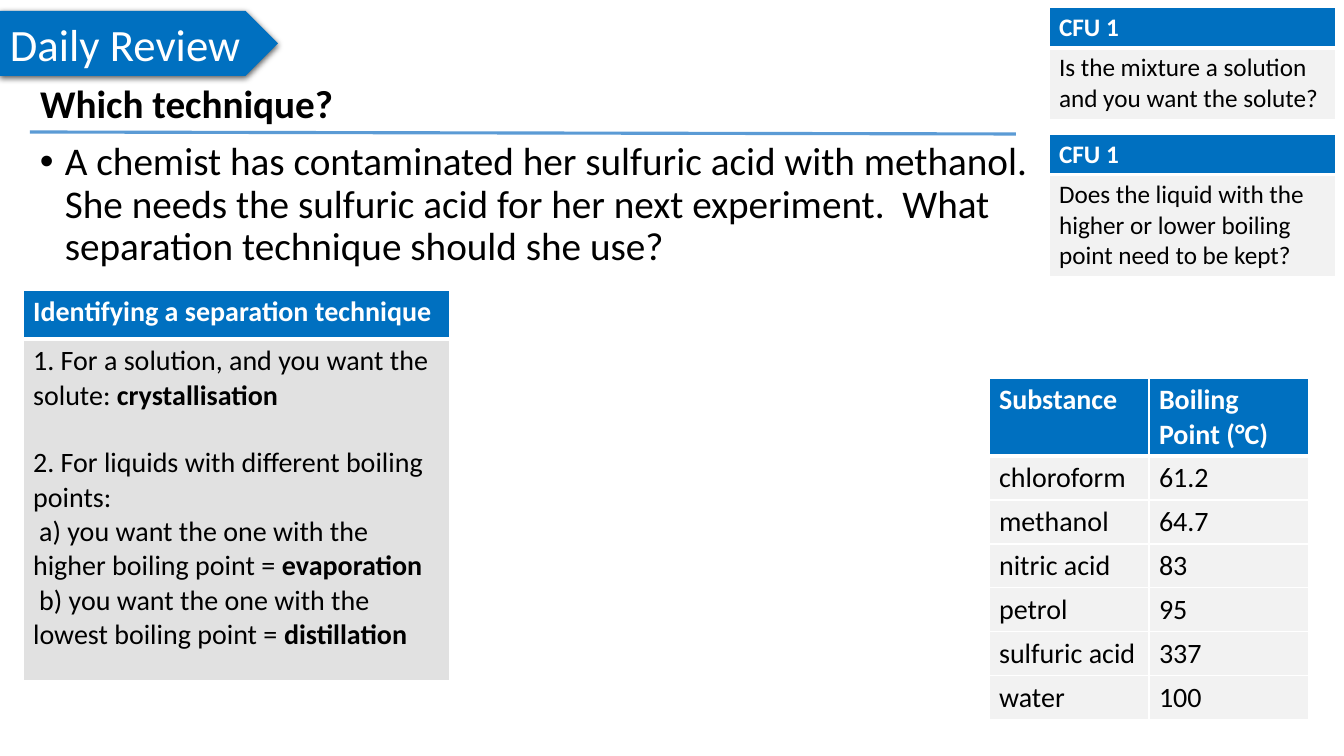
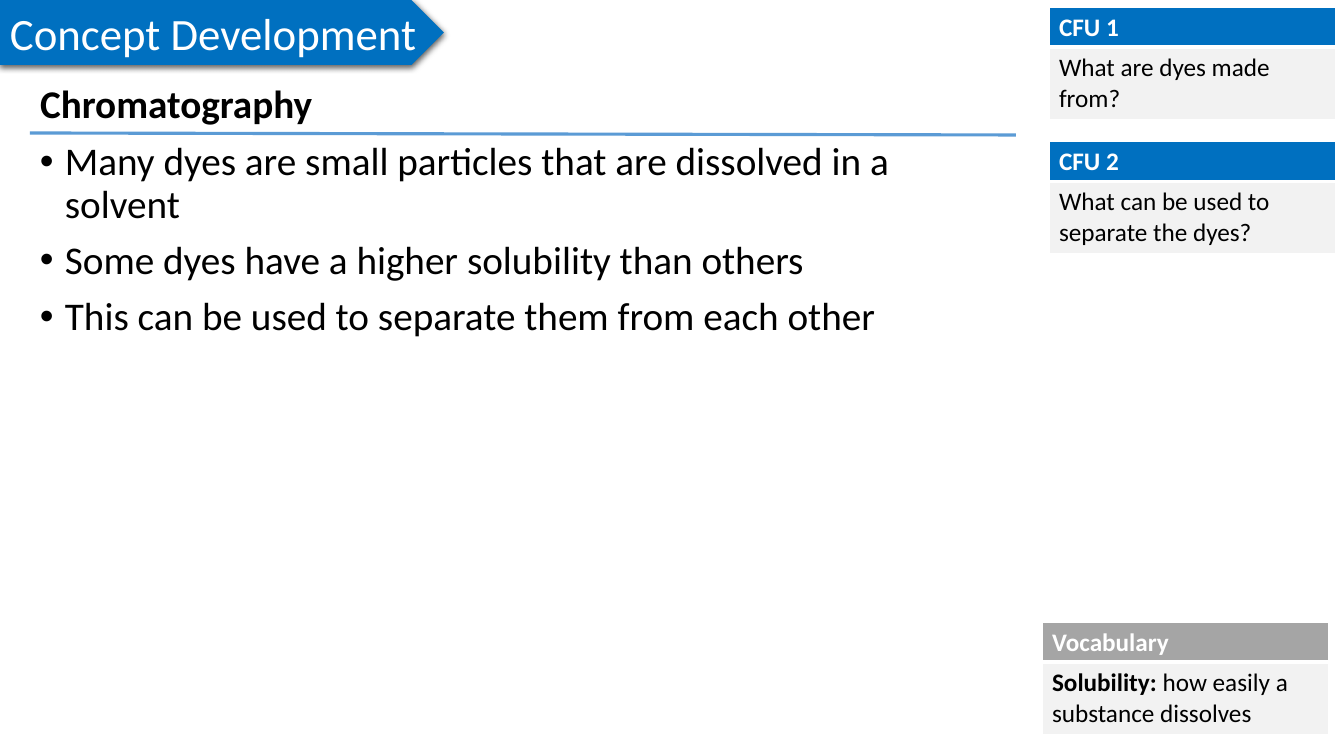
import dataclasses

import lxml.etree
import pptx
import pptx.dml.color
import pptx.enum.shapes
import pptx.enum.text
import pptx.oxml.ns
import pptx.util

PX = 914400 / 100.8  # EMU in one px; the slide is 1344 x 756 px
qn = pptx.oxml.ns.qn
ALIGN = pptx.enum.text.PP_ALIGN
ANCHOR = pptx.enum.text.MSO_ANCHOR
FIT = pptx.enum.text.MSO_AUTO_SIZE
SHAPE = pptx.enum.shapes.MSO_SHAPE


@dataclasses.dataclass(frozen=True)
class Theme:
    font: str = "Calibri"
    blue: str = "0070C0"
    rule: str = "5B9BD5"
    grey: str = "A5A5A5"
    pale: str = "F2F2F2"
    panel: str = "E1E1E1"
    ink: str = "000000"
    white: str = "FFFFFF"
    banner: int = 32
    body: int = 28
    table: int = 20
    note: int = 18


def px(n):
    return pptx.util.Emu(round(n * PX))


def box(x, y, w, h):
    return [px(n) for n in (x, y, w, h)]


def rgb(code):
    return pptx.dml.color.RGBColor.from_string(code)


def node(parent, tag, **attrs):
    return lxml.etree.SubElement(parent, qn(tag), {k: str(v) for k, v in attrs.items()})


class Deck:
    def __init__(self, theme):
        self.t = theme
        self.prs = pptx.Presentation()
        self.prs.slide_width, self.prs.slide_height = px(1344), px(756)
        self.s = None

    def slide(self):
        self.s = self.prs.slides.add_slide(self.prs.slide_layouts[5])

    # Text: parts between ** marks are bold
    def add_text(self, p, text, size, color, bold=False):
        for i, part in enumerate(text.split("**")):
            if not part:
                continue
            r = p.add_run()
            r.text = part
            fmt = {"name": self.t.font, "size": pptx.util.Pt(size),
                   "bold": bold or i % 2 == 1}
            for key, value in fmt.items():
                setattr(r.font, key, value)
            r.font.color.rgb = rgb(color)

    def title(self, text, w):
        sp = self.s.shapes.title
        sp.left, sp.top, sp.width, sp.height = box(30, 80, w, 53)
        tf = sp.text_frame
        fmt = {"word_wrap": True, "auto_size": FIT.NONE, "vertical_anchor": ANCHOR.TOP}
        for key, value in fmt.items():
            setattr(tf, key, value)
        p = tf.paragraphs[0]
        p.alignment, p.line_spacing = ALIGN.LEFT, 0.9
        p.space_before = pptx.util.Pt(0)
        self.add_text(p, text, self.t.body, self.t.ink, bold=True)

    def bullets(self, items, w, h):
        tf = self.s.shapes.add_textbox(*box(30, 137, w, h)).text_frame
        tf.word_wrap = True
        for i, text in enumerate(items):
            p = tf.add_paragraph() if i else tf.paragraphs[0]
            pPr = p._p.get_or_add_pPr()
            pPr.set("marL", str(px(25)))
            pPr.set("indent", str(-px(25)))
            node(pPr, "a:buFont", typeface="Arial")
            node(pPr, "a:buChar", char="•")
            p.line_spacing = 0.9
            if i:
                p.space_before = pptx.util.Pt(10)
            self.add_text(p, text, self.t.body, self.t.ink)

    # Arrow-shaped section banner with a soft shadow
    def banner(self, text, y, w):
        sp = self.s.shapes.add_shape(SHAPE.PENTAGON, *box(0, y, w, 65))
        sp.fill.solid()
        sp.fill.fore_color.rgb = rgb(self.t.blue)
        sp.line.fill.background()
        sp.shadow.inherit = False
        effects = sp._element.spPr.find(qn("a:effectLst"))
        shadow = node(effects, "a:outerShdw", blurRad=57150, dist=19050,
                      dir=5400000, algn="ctr", rotWithShape=0)
        node(node(shadow, "a:srgbClr", val=self.t.ink), "a:alpha", val=63000)
        tf = sp.text_frame
        tf.word_wrap, tf.auto_size = False, FIT.SHAPE_TO_FIT_TEXT
        tf.paragraphs[0].alignment = ALIGN.LEFT
        self.add_text(tf.paragraphs[0], text, self.t.banner, self.t.white)

    def rule(self, y):
        ends = [px(n) for n in (30, y, 1016, y + 2)]
        line = self.s.shapes.add_connector(pptx.enum.shapes.MSO_CONNECTOR.STRAIGHT, *ends)
        line.line.color.rgb = rgb(self.t.rule)
        line.line.width = pptx.util.Pt(2.25)
        node(line._element.spPr, "a:effectLst")

    # Tables: a coloured header row over pale rows, white borders
    def borders(self, cell, top, bottom):
        tcPr = cell._tc.get_or_add_tcPr()
        sides = {"a:lnL": 1, "a:lnR": 1, "a:lnT": top, "a:lnB": bottom}
        for i, (tag, width) in enumerate(sides.items()):
            ln = node(tcPr, tag, w=pptx.util.Pt(width))
            node(node(ln, "a:solidFill"), "a:srgbClr", val=self.t.white)
            tcPr.insert(i, ln)

    def table(self, x, y, cols, heights, rows, size, head=None, fill=None):
        frame = self.s.shapes.add_table(len(rows), len(cols),
                                        *box(x, y, sum(cols), sum(heights)))
        tbl = frame.table
        tbl.horz_banding = False
        for col, w in zip(tbl.columns, cols):
            col.width = px(w)
        for i, (row, h, texts) in enumerate(zip(tbl.rows, heights, rows)):
            row.height = px(h)
            color = self.t.ink if i else self.t.white
            back = (fill or self.t.pale) if i else (head or self.t.blue)
            for cell, text in zip(row.cells, texts):
                cell.fill.solid()
                cell.fill.fore_color.rgb = rgb(back)
                self.borders(cell, 3 if i == 1 else 1, 1 if i else 3)
                self.add_text(cell.text_frame.paragraphs[0], text, size, color, bold=i == 0)
        return tbl

    def note(self, y, heading, text, h=72, x=1049, head=None):
        self.table(x, y, [287], [39, h], [[heading], [text]], self.t.note, head)

    def steps(self, heading, items):
        """Panel of steps; each item is (text, space before in pt, indent in px)."""
        tbl = self.table(23, 290, [427], [49, 342], [[heading], [""]],
                         self.t.table, fill=self.t.panel)
        tf = tbl.cell(1, 0).text_frame
        for i, (text, gap, indent) in enumerate(items):
            p = tf.add_paragraph() if i else tf.paragraphs[0]
            if gap:
                p.space_before = pptx.util.Pt(gap)
            if indent:
                p._p.get_or_add_pPr().set("indent", str(px(indent)))
            self.add_text(p, text, self.t.table, self.t.ink)


def main():
    t = Theme()
    d = Deck(t)

    # Slide 1: daily review
    d.slide()
    d.note(7, "CFU 1", "Is the mixture a solution and you want the solute?")
    d.title("Which technique?", 1019)
    d.bullets(["A chemist has contaminated her sulfuric acid with methanol.  "
               "She needs the sulfuric acid for her next experiment.  "
               "What separation technique should she use?"], 1019, 150)
    d.rule(132)
    d.steps("Identifying a separation technique", [
        ("1. For a solution, and you want the solute: **crystallisation**", 0, 0),
        ("2. For liquids with different boiling points:", 24, 0),
        ("a) you want the one with the higher boiling point = **evaporation**", 0, 6),
        ("b) you want the one with the lowest boiling point = **distillation**", 0, 6),
    ])
    d.banner("Daily Review", 11, 278)
    d.note(134, "CFU 1", "Does the liquid with the higher or lower boiling point "
           "need to be kept?", h=102)
    boiling = [("Substance", "Boiling Point (°C)"), ("chloroform", "61.2"),
               ("methanol", "64.7"), ("nitric acid", "83"), ("petrol", "95"),
               ("sulfuric acid", "337"), ("water", "100")]
    d.table(989, 378, [160, 160], [78] + [44] * 6, boiling, t.table)

    # Slide 2: concept development
    d.slide()
    d.banner("Concept Development", 0, 444)
    d.note(622, "Vocabulary", "**Solubility: **how easily a substance dissolves",
           x=1042, head=t.grey)
    d.note(7, "CFU 1", "What are dyes made from?")
    d.title("Chromatography", 972)
    d.bullets(["Many dyes are small particles that are dissolved in a solvent",
               "Some dyes have a higher solubility than others",
               "This can be used to separate them from each other"], 972, 558)
    d.rule(133)
    d.note(141, "CFU 2", "What can be used to separate the dyes?")

    d.prs.save("out.pptx")


if __name__ == "__main__":
    main()
